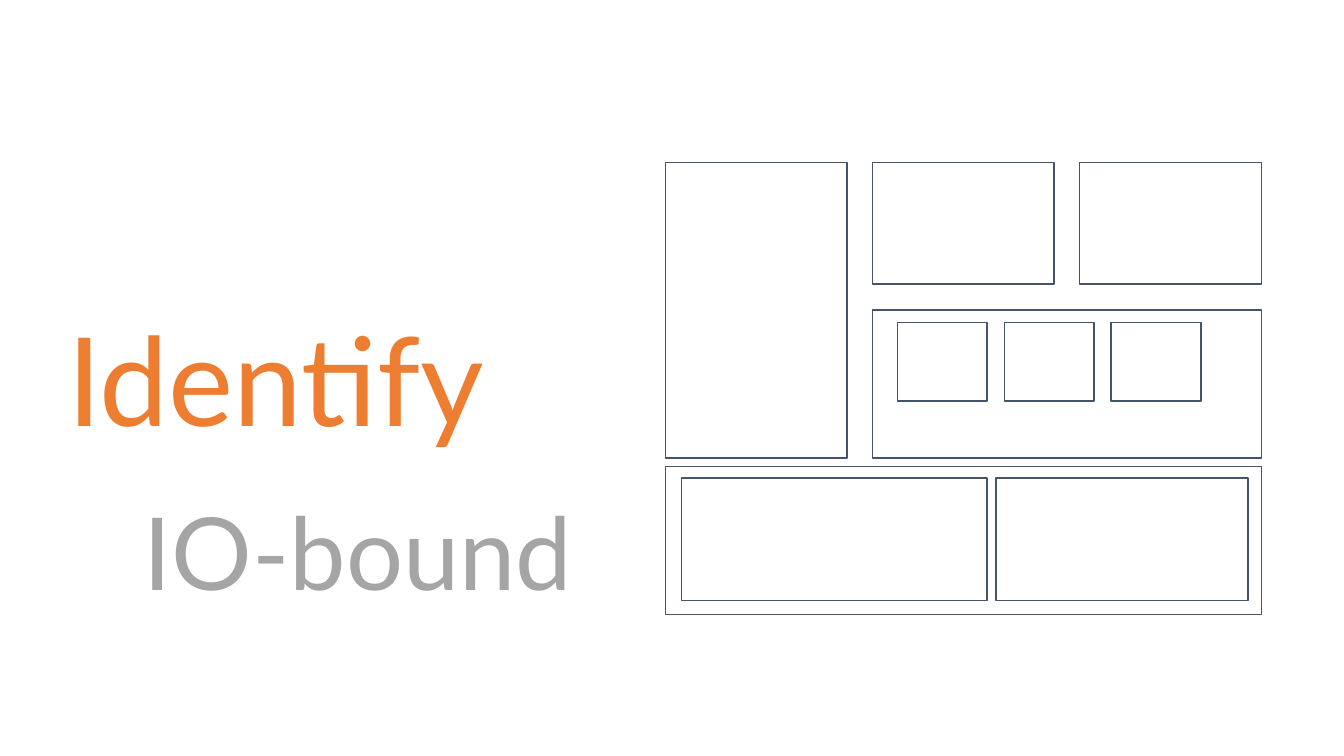
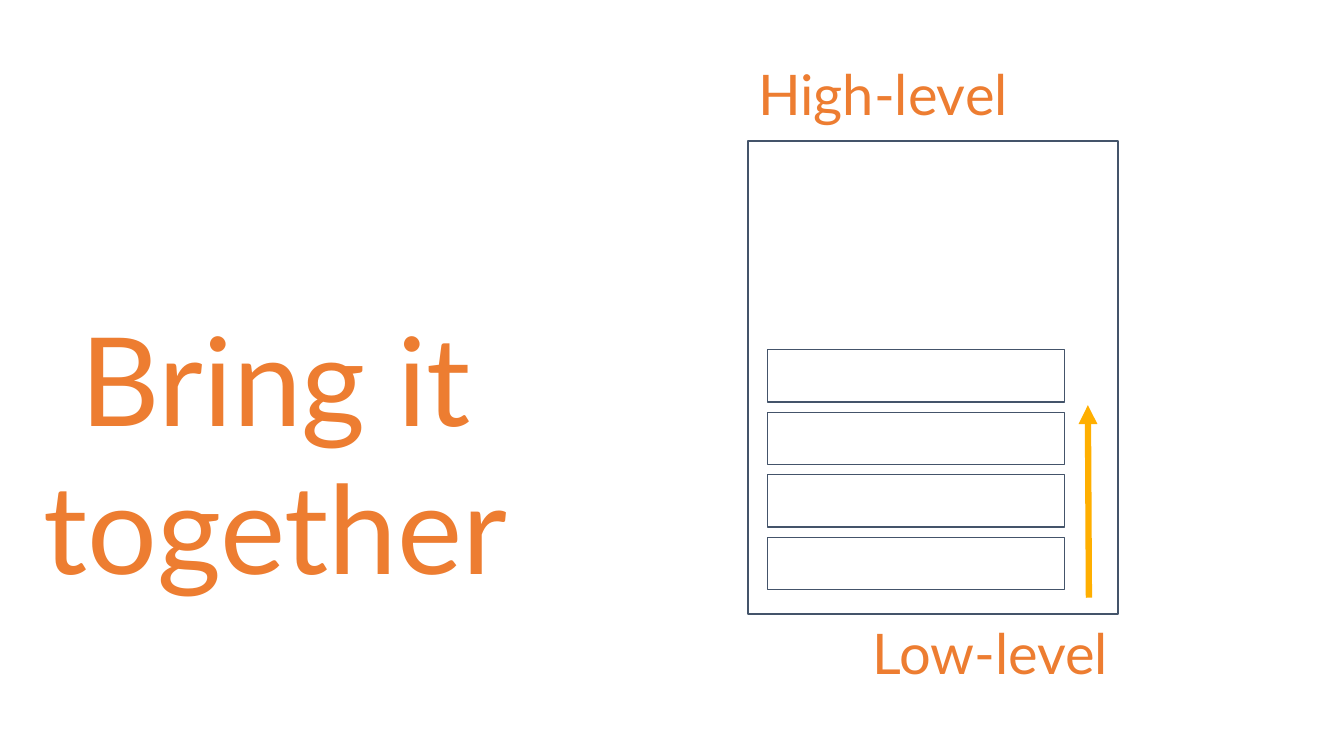
from lxml import etree
from pptx import Presentation
from pptx import util as u
from pptx.dml.color import RGBColor
from pptx.enum import shapes, text
from pptx.oxml import ns

COLORS = {
    "paper": "FFFFFF",
    "outline": "44546A",
    "accent": "ED7D31",
    "muted": "A5A5A5",
    "arrow": "FFAF00",
}
FONT = "Lato"
GRID_COLUMNS, GRID_ROWS = 13.33, 7.5
TITLE_WIDTH, TITLE_TOP = 5.47, 2.96


class Deck:
    def __init__(self):
        self.deck = Presentation()
        self.deck.slide_width = u.Inches(GRID_COLUMNS)
        self.deck.slide_height = u.Inches(GRID_ROWS)
        self.page = None

    def add_page(self):
        self.page = self.deck.slides.add_slide(self.deck.slide_layouts[6])

    def columns(self, count):
        return round(self.deck.slide_width * count / GRID_COLUMNS)

    def rows(self, count):
        return round(self.deck.slide_height * count / GRID_ROWS)

    def area(self, left, top, width, height):
        return self.columns(left), self.rows(top), self.columns(width), self.rows(height)

    def color(self, name):
        return RGBColor.from_string(COLORS[name])

    def label(self, wording, left, top, width, height, size, color="accent", align="LEFT"):
        box = self.page.shapes.add_textbox(*self.area(left, top, width, height))
        frame = box.text_frame
        frame.word_wrap = True
        frame.auto_size = text.MSO_AUTO_SIZE.SHAPE_TO_FIT_TEXT
        frame.text = wording
        para = frame.paragraphs[0]
        para.alignment = text.PP_ALIGN[align]
        for span in para.runs:
            span.font.name = FONT
            span.font.size = u.Pt(size)
            span.font.color.rgb = self.color(color)

    def title(self, wording, height):
        self.label(wording, 0, TITLE_TOP, TITLE_WIDTH, height, 88, align="CENTER")

    def panel(self, left, top, width, height):
        box = self.page.shapes.add_shape(
            shapes.MSO_SHAPE.RECTANGLE, *self.area(left, top, width, height))
        box.shadow.inherit = False
        box.fill.solid()
        box.fill.fore_color.rgb = self.color("paper")
        box.line.color.rgb = self.color("outline")
        box.line.width = u.Pt(1)

    def arrow(self, start, end):
        line = self.page.shapes.add_connector(
            shapes.MSO_CONNECTOR.STRAIGHT,
            self.columns(start[0]), self.rows(start[1]),
            self.columns(end[0]), self.rows(end[1]))
        line.line.color.rgb = self.color("arrow")
        line.line.width = u.Pt(4.5)
        etree.SubElement(line.line._get_or_add_ln(), ns.qn("a:tailEnd"), type="triangle")
        etree.SubElement(line._element.spPr, ns.qn("a:effectLst"))


def build_identify(deck):
    deck.add_page()
    deck.title("Identify", 1.58)
    deck.label("IO-bound", 0, 4.81, 7.1, 1.31, 72, "muted", "CENTER")

    left, top, full_width = 6.6, 1.61, 5.91
    card_width, card_height, wide_height = 1.8, 1.21, 1.47
    gap = (full_width - 3 * card_width) / 2
    pitch = card_width + gap
    wide_top = top + card_height + gap
    deck.panel(left, top, card_width, card_height + gap + wide_height)
    for column in (1, 2):
        deck.panel(left + column * pitch, top, card_width, card_height)
    deck.panel(left + pitch, wide_top, full_width - pitch, wide_height)
    deck.panel(left, 4.63, full_width, wide_height)
    for index in range(3):
        deck.panel(8.9 + index * 1.06, 3.2, 0.89, 0.78)
    for inner_left, inner_width in ((6.76, 3.03), (9.88, 2.5)):
        deck.panel(inner_left, 4.74, inner_width, 1.22)


def build_together(deck):
    deck.add_page()
    left, top, width, height = 7.42, 1.4, 3.67, 4.69
    label_width, label_height = 3.08, 0.77
    deck.panel(left, top, width, height)
    deck.arrow((10.8, 5.93), (10.79, 4.02))
    deck.label("High-level", left, 0.54, label_width, label_height, 40)
    deck.label("Low-level", left + width - label_width, top + height,
               label_width, label_height, 40, align="RIGHT")
    deck.title("Bring it together", 3.06)
    for level in range(4):
        deck.panel(7.61, 3.47 + level * 0.62, 2.95, 0.52)


def main():
    deck = Deck()
    build_identify(deck)
    build_together(deck)
    deck.deck.save("out.pptx")


if __name__ == "__main__":
    main()
